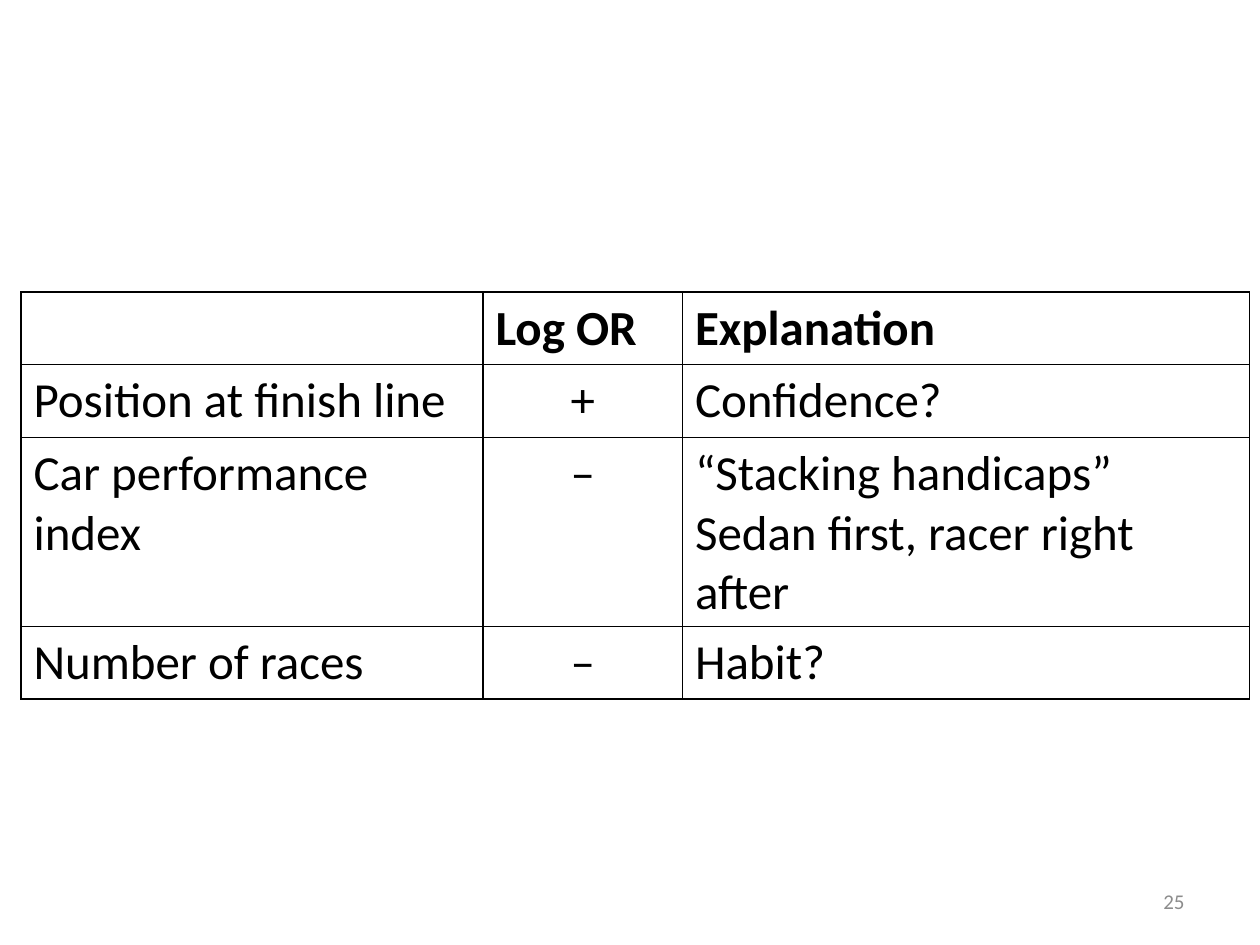
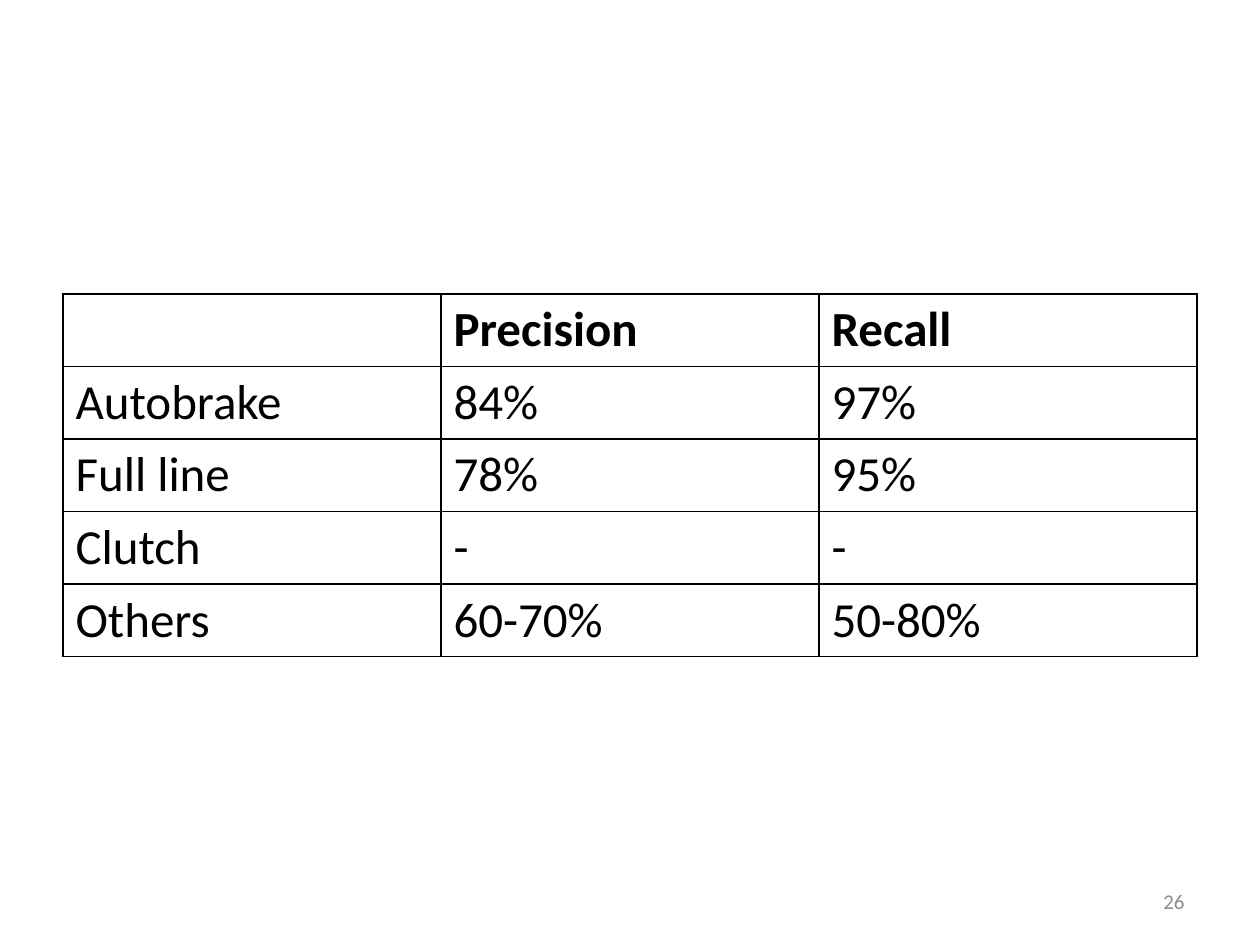
from lxml import etree
from pptx import Presentation
from pptx.dml.color import RGBColor
from pptx.enum.text import MSO_ANCHOR, PP_ALIGN
from pptx.oxml.ns import qn
from pptx.util import Pt

LEFT, CENTER, RIGHT = PP_ALIGN.LEFT, PP_ALIGN.CENTER, PP_ALIGN.RIGHT
MIDDLE = MSO_ANCHOR.MIDDLE
FONT = "Calibri"
BLACK, GREY = "000000", "8C8C8C"
BLANK_LAYOUT = 6
ROW, TALL_ROW = 41.45, 75.6

TABLES = [
    {
        "number": "25", "left": 12, "top": 167,
        "columns": [264, 114, 324],
        "heights": [ROW, ROW, TALL_ROW, ROW],
        "centered": [1],
        "rows": [
            ["", "Log OR", "Explanation"],
            ["Position at finish line", "+", "Confidence?"],
            ["Car performance index", "–",
             "“Stacking handicaps”\nSedan first, racer right after"],
            ["Number of races", "–", "Habit?"],
        ],
    },
    {
        "number": "26", "left": 36, "top": 168,
        "columns": [216] * 3,
        "heights": [ROW] * 5,
        "centered": [],
        "rows": [
            ["", "Precision", "Recall"],
            ["Autobrake", "84%", "97%"],
            ["Full line", "78%", "95%"],
            ["Clutch", "-", "-"],
            ["Others", "60-70%", "50-80%"],
        ],
    },
]


def write(frame, text, size=28, color=BLACK, bold=False, align=LEFT):
    frame.word_wrap = True
    frame.text = text
    for para in frame.paragraphs:
        para.alignment = align
        para.font.size = Pt(size)
        for span in para.runs:
            span.font.name = FONT
            span.font.size = Pt(size)
            span.font.bold = bold
            span.font.color.rgb = RGBColor.from_string(color)


def draw_borders(cell, color=BLACK, width=1):
    properties = cell._tc.get_or_add_tcPr()
    for side in ("lnL", "lnR", "lnT", "lnB"):
        line = etree.SubElement(properties, qn(f"a:{side}"), w=str(Pt(width)))
        fill = etree.SubElement(line, qn("a:solidFill"))
        etree.SubElement(fill, qn("a:srgbClr"), val=color)


deck = Presentation()
deck.slide_width, deck.slide_height = Pt(720), Pt(540)

for content in TABLES:
    page = deck.slides.add_slide(deck.slide_layouts[BLANK_LAYOUT])

    number_box = page.shapes.add_textbox(Pt(516), Pt(500.5), Pt(168), Pt(28.75))
    number_box.text_frame.vertical_anchor = MIDDLE
    write(number_box.text_frame, content["number"], size=12, color=GREY, align=RIGHT)

    rows, columns, heights = content["rows"], content["columns"], content["heights"]
    table = page.shapes.add_table(
        len(rows), len(columns), Pt(content["left"]), Pt(content["top"]),
        Pt(sum(columns)), Pt(sum(heights))).table
    table.first_row = False
    table.horz_banding = False
    for column, width in zip(table.columns, columns):
        column.width = Pt(width)
    for row_index, texts in enumerate(rows):
        table.rows[row_index].height = Pt(heights[row_index])
        header = row_index == 0
        for column_index, text in enumerate(texts):
            cell = table.cell(row_index, column_index)
            centered = column_index in content["centered"] and not header
            draw_borders(cell)
            cell.fill.background()
            write(cell.text_frame, text, bold=header,
                  align=CENTER if centered else LEFT)

deck.save("out.pptx")
